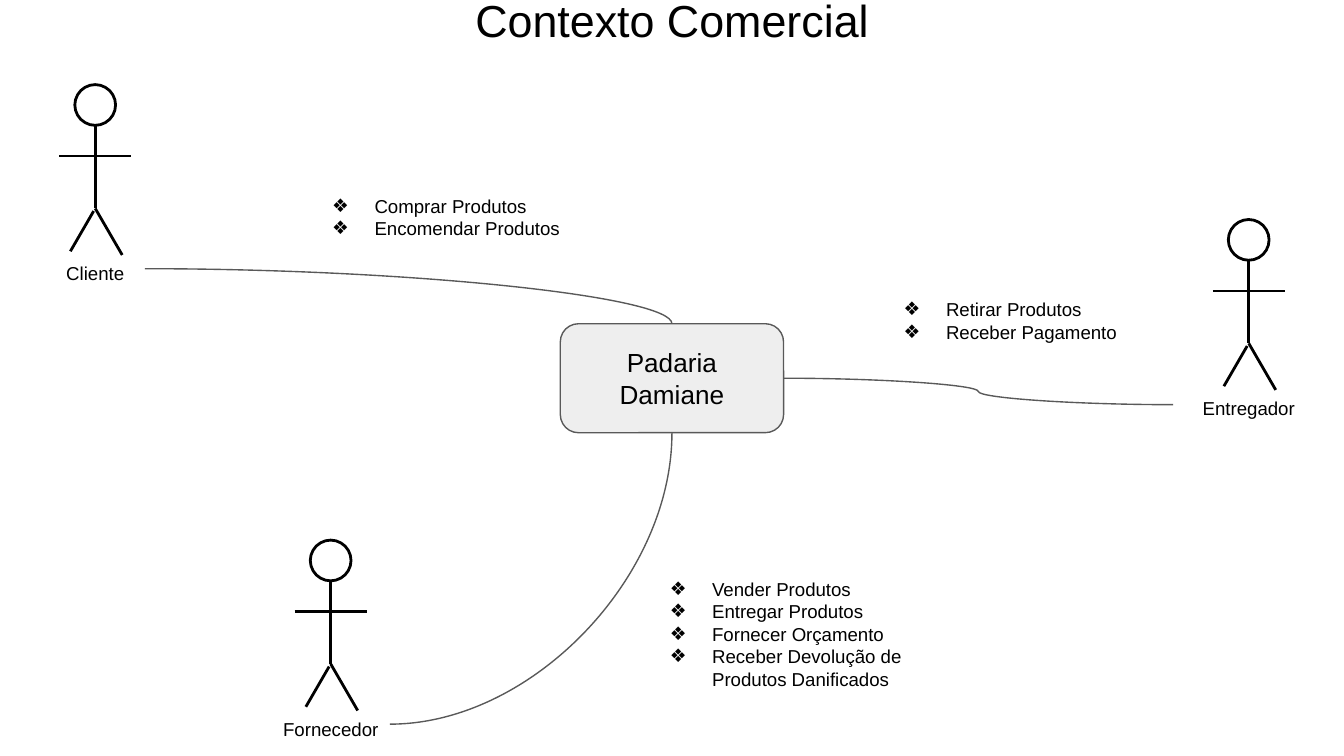
import pptx
import pptx.util
import pptx.dml.color
import pptx.enum.shapes
import pptx.enum.text
import pptx.oxml.ns
import lxml.etree

Cm = pptx.util.Cm
Pt = pptx.util.Pt
Shape = pptx.enum.shapes.MSO_SHAPE
Link = pptx.enum.shapes.MSO_CONNECTOR
Align = pptx.enum.text.PP_ALIGN
Anchor = pptx.enum.text.MSO_ANCHOR
qn = pptx.oxml.ns.qn

HUES = {"ink": "000000", "paper": "FFFFFF", "box": "EEEEEE", "edge": "595959"}
FONT = "Arial"


def rgb(hue):
    return pptx.dml.color.RGBColor.from_string(HUES[hue])


def write(shape, text, size, align=Align.CENTER, anchor=Anchor.TOP):
    frame = shape.text_frame
    frame.text = text
    frame.word_wrap = True
    frame.auto_size = pptx.enum.text.MSO_AUTO_SIZE.NONE
    frame.vertical_anchor = anchor
    frame.margin_left = frame.margin_right = Cm(0.25)
    frame.margin_top = frame.margin_bottom = Cm(0.25)
    for para in frame.paragraphs:
        para.alignment = align
        para.space_before = Pt(0)
        for run in para.runs:
            run.font.size = Pt(size)
            run.font.name = FONT
            run.font.color.rgb = rgb("ink")


def label(slide, left, top, width, height, text, **style):
    box = slide.shapes.add_textbox(Cm(left), Cm(top), Cm(width), Cm(height))
    write(box, text, 10, **style)
    return box


def solid(slide, kind, left, top, width, height, fill, edge, weight):
    shape = slide.shapes.add_shape(kind, Cm(left), Cm(top), Cm(width), Cm(height))
    shape.shadow.inherit = False
    shape.fill.solid()
    shape.fill.fore_color.rgb = rgb(fill)
    shape.line.color.rgb = rgb(edge)
    shape.line.width = Pt(weight)
    return shape


def stroke(slide, kind, start, end, hue, weight):
    line = slide.shapes.add_connector(kind, *[Cm(n) for n in start + end])
    line.line.color.rgb = rgb(hue)
    line.line.width = Pt(weight)
    lxml.etree.SubElement(line._element.spPr, qn("a:effectLst"))
    return line


def actor(slide, mid, top, name, width):
    head = 0.77
    solid(slide, Shape.OVAL, mid - head / 2, top, head, head, "paper", "ink", 1.5)
    limbs = [
        (0, head, 0, 2.34),
        (-0.03, 2.39, -0.47, 3.15),
        (0, 2.34, 0.51, 3.22),
        (-0.68, 1.35, 0.68, 1.35),
    ]
    for x1, y1, x2, y2 in limbs:
        stroke(slide, Link.STRAIGHT, (mid + x1, top + y1), (mid + x2, top + y2), "ink", 1.5)
    label(slide, mid - width / 2, top + 3.1, width, 0.77, name)


def tasks(slide, left, top, width, height, items, anchor):
    box = label(slide, left, top, width, height, "\n".join(items),
                align=Align.LEFT, anchor=anchor)
    for para in box.text_frame.paragraphs:
        props = para._p.get_or_add_pPr()
        props.set("marL", str(Cm(1.27)))
        props.set("indent", str(-Cm(0.8)))
        tint = lxml.etree.SubElement(props, qn("a:buClr"))
        lxml.etree.SubElement(tint, qn("a:srgbClr"), val=HUES["ink"])
        lxml.etree.SubElement(props, qn("a:buSzPts"), val="1000")
        lxml.etree.SubElement(props, qn("a:buFont"), typeface=FONT)
        lxml.etree.SubElement(props, qn("a:buChar"), char="❖")


def curve(slide, start, end, bend):
    line = stroke(slide, Link.CURVE, start, end, "edge", 0.75)
    shape = line._element.spPr.find(qn("a:prstGeom"))
    shape.set("prst", "curvedConnector" + str(bend))


def heading(slide, left, top, width, height, text):
    title = slide.shapes.title
    title.left, title.top = Cm(left), Cm(top)
    title.width, title.height = Cm(width), Cm(height)
    write(title, text, 24)


def shop(slide, left, top, width, height, name):
    box = solid(slide, Shape.ROUNDED_RECTANGLE, left, top, width, height,
                "box", "edge", 0.75)
    write(box, name, 14, anchor=Anchor.MIDDLE)
    mid = left + width / 2
    curve(slide, (left + width, top + height / 2), (22.17, 7.65), 3)
    curve(slide, (7.37, 13.69), (mid, top + height), 2)
    curve(slide, (2.74, 5.08), (mid, top), 2)


def context(deck):
    slide = deck.slides.add_slide(deck.slide_layouts[5])
    heading(slide, 0.86, -0.38, 23.68, 1.04, "Contexto Comercial")
    shop(slide, 10.59, 6.12, 4.22, 2.06, "Padaria Damiane")
    for mid, top, name, width in [
        (1.8, 1.6, "Cliente", 1.88),
        (6.25, 10.21, "Fornecedor", 2.36),
        (23.6, 4.15, "Entregador", 2.82),
    ]:
        actor(slide, mid, top, name, width)
    tasks(slide, 5.56, 3.43, 6.38, 1.96,
          ["Comprar Produtos", "Encomendar Produtos"], Anchor.TOP)
    tasks(slide, 16.36, 4.14, 6.15, 3.84,
          ["Retirar Produtos", "Receber Pagamento"], Anchor.MIDDLE)
    tasks(slide, 11.94, 10.06, 6.15, 3.84,
          ["Vender Produtos", "Entregar Produtos", "Fornecer Orçamento",
           "Receber Devolução de Produtos Danificados"], Anchor.MIDDLE)


deck = pptx.Presentation()
deck.slide_width = Cm(25.4)
deck.slide_height = Cm(14.29)
context(deck)
deck.save("out.pptx")
